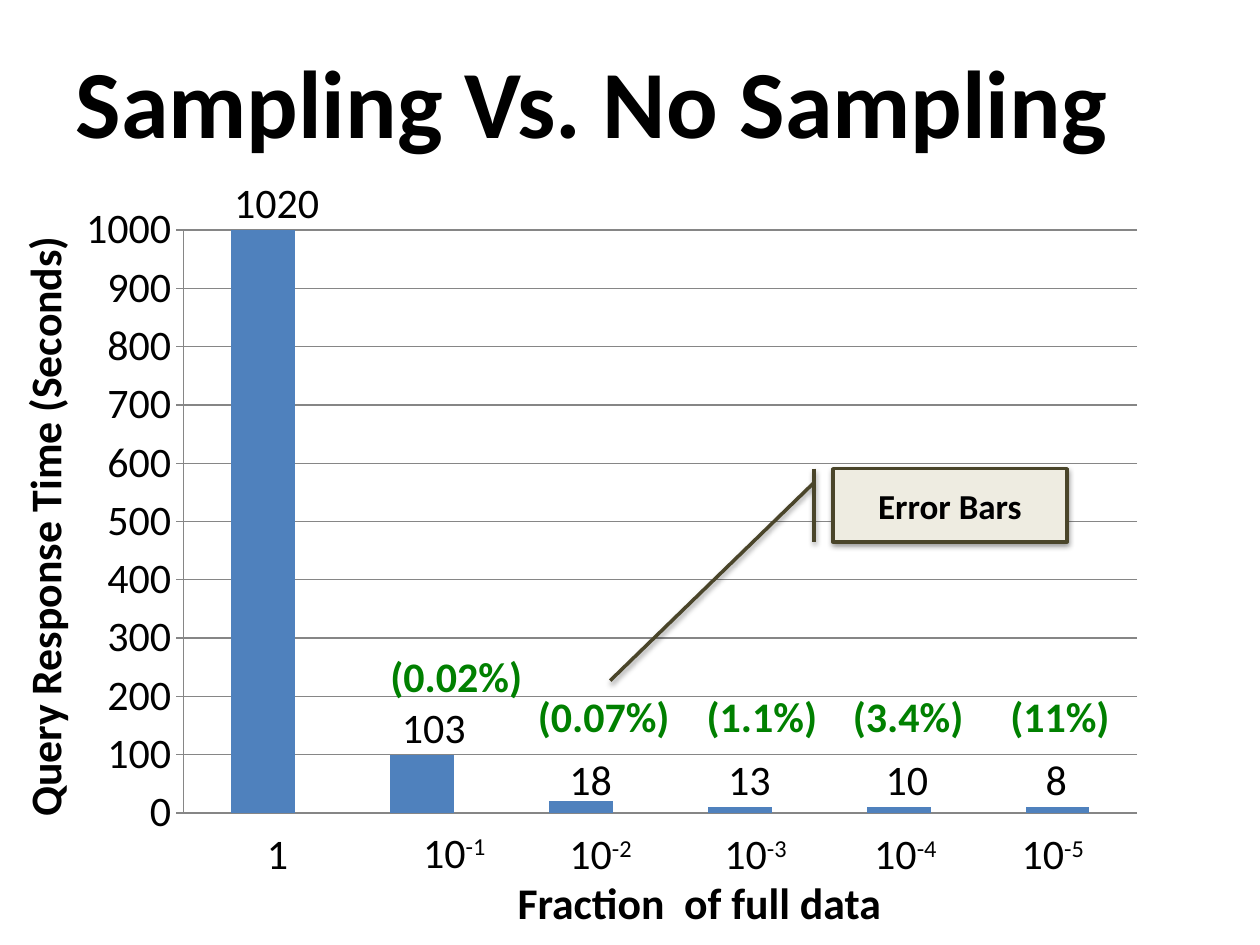
from dataclasses import dataclass

from lxml import etree
from pptx import Presentation
from pptx.chart.data import CategoryChartData
from pptx.dml.color import RGBColor
from pptx.enum.chart import XL_CHART_TYPE, XL_TICK_MARK
from pptx.enum.shapes import MSO_SHAPE
from pptx.enum.text import MSO_ANCHOR, MSO_AUTO_SIZE, PP_ALIGN
from pptx.oxml import parse_xml
from pptx.oxml.ns import nsdecls, qn
from pptx.util import Inches, Pt

COLUMN_STACKED = XL_CHART_TYPE.COLUMN_STACKED
CALLOUT = MSO_SHAPE.LINE_CALLOUT_1_BORDER_AND_ACCENT_BAR
LEFT, CENTER = PP_ALIGN.LEFT, PP_ALIGN.CENTER
MIDDLE = MSO_ANCHOR.MIDDLE
TICK_OUTSIDE = XL_TICK_MARK.OUTSIDE
GROW = MSO_AUTO_SIZE.SHAPE_TO_FIT_TEXT

FONT = "Calibri"
BLACK, GREEN, BLUE, GRAY = "000000", "008000", "4F81BD", "868686"
CREAM, OLIVE = "EEECE1", "4A452A"

# The slide is a grid of 100 columns by 75 rows with square cells.
CELL = Inches(10) / 100
LABEL_HEIGHT = 5
TITLE_HEIGHT = 5.2
FRACTION_ROW = 65.2


@dataclass
class Label:
    text: str
    column: float
    row: float
    width: float


@dataclass
class Sample:
    """One bar, rounded to tens, with its fraction, time and error labels."""
    seconds: int
    fraction: Label
    time: Label
    error: Label | None = None
    exponent: str = ""


SAMPLES = [
    Sample(1020, Label("1", 20.2, FRACTION_ROW, 3.7), Label("1020", 17.6, 13.5, 8.8)),
    Sample(100, Label("10", 32.6, 65.1, 7.3), Label("103", 30.9, 55.2, 7.1),
           Label("(0.02%)", 30, 51.1, 12.6), "-1"),
    Sample(20, Label("10", 44.2, FRACTION_ROW, 7.3), Label("18", 44.2, 59.3, 5.4),
           Label("(0.07%)", 41.7, 54.3, 12.6), "-2"),
    Sample(10, Label("10", 56.5, FRACTION_ROW, 7.3), Label("13", 56.8, 59.3, 5.4),
           Label("(1.1%)", 55.1, 54.3, 10.9), "-3"),
    Sample(10, Label("10", 68.4, FRACTION_ROW, 7.3), Label("10", 69.3, 59.3, 5.4),
           Label("(3.4%)", 66.7, 54.3, 10.9), "-4"),
    Sample(10, Label("10", 80.1, FRACTION_ROW, 7.3), Label("8", 82, 59.3, 3.7),
           Label("(11%)", 79.2, 54.3, 10), "-5"),
]


def color(value: str) -> RGBColor:
    return RGBColor.from_string(value)


def frame(column: float, row: float, width: float, height: float) -> list[int]:
    return [round(cells * CELL) for cells in (column, row, width, height)]


def format_font(font, size: float, hex_color: str, bold: bool) -> None:
    font.name = FONT
    font.size = Pt(size)
    font.bold = bold
    font.color.rgb = color(hex_color)


def write_text(text_frame, text: str, *, size: float = 24, hex_color: str = BLACK,
               bold: bool = False, align=LEFT, superscript: str = "") -> None:
    paragraph = text_frame.paragraphs[0]
    paragraph.alignment = align
    for content, baseline in ((text, None), (superscript, "30000")):
        if content:
            run = paragraph.add_run()
            run.text = content
            format_font(run.font, size, hex_color, bold)
            if baseline:
                run._r.get_or_add_rPr().set("baseline", baseline)


def add_label(slide, label: Label, *, height: float = LABEL_HEIGHT,
              wrap: bool = False, rotation: float = 0, **text_format) -> None:
    box = slide.shapes.add_textbox(*frame(label.column, label.row, label.width, height))
    box.rotation = rotation
    box.text_frame.word_wrap = wrap
    box.text_frame.auto_size = GROW
    write_text(box.text_frame, label.text, **text_format)


def add_title(slide) -> None:
    title = slide.shapes.title
    title.left, title.top, title.width, title.height = frame(5, 1.7, 90, 12.5)
    title.text_frame.vertical_anchor = MIDDLE
    write_text(title.text_frame, "Sampling Vs. No Sampling", size=55, bold=True)


def set_plot_layout(chart, x: float, y: float, w: float, h: float) -> None:
    """Place the inner plot area by shares of the chart's size."""
    plot_area = chart._chartSpace.chart.plotArea
    for old_layout in plot_area.findall(qn("c:layout")):
        plot_area.remove(old_layout)
    layout = parse_xml(f"<c:layout {nsdecls('c')}><c:manualLayout/></c:layout>")
    settings = {"layoutTarget": "inner", "xMode": "edge", "yMode": "edge",
                "x": x, "y": y, "w": w, "h": h}
    for name, value in settings.items():
        etree.SubElement(layout[0], qn(f"c:{name}")).set("val", str(value))
    plot_area.insert(0, layout)


def add_response_chart(slide) -> None:
    data = CategoryChartData()
    data.categories = [str(number) for number in range(1, len(SAMPLES) + 1)]
    data.add_series("Series 1", [sample.seconds for sample in SAMPLES])
    chart = slide.shapes.add_chart(
        COLUMN_STACKED, *frame(5, 15.1, 87, 52.6), data).chart
    chart.has_legend = False
    chart.has_title = False
    format_font(chart.font, 10, BLACK, False)
    set_plot_layout(chart, 0.11, 0.06, 0.87, 0.88)

    plot = chart.plots[0]
    plot.gap_width, plot.overlap, plot.vary_by_categories = 150, 100, False
    fill = plot.series[0].format.fill
    fill.solid()
    fill.fore_color.rgb = color(BLUE)

    chart.category_axis.visible = False
    axis = chart.value_axis
    axis.minimum_scale, axis.maximum_scale, axis.major_unit = 0, 1000, 100
    axis.major_tick_mark = TICK_OUTSIDE
    axis.has_major_gridlines = True
    format_font(axis.tick_labels.font, 24, BLACK, False)
    for line in (axis.format.line, axis.major_gridlines.format.line):
        line.color.rgb = color(GRAY)
        line.width = Pt(0.75)


def add_shadow(shape) -> None:
    shape.shadow.inherit = False
    effects = shape._element.spPr.find(qn("a:effectLst"))
    effects.append(parse_xml(
        f'<a:outerShdw {nsdecls("a")} blurRad="{Pt(3.1)}" dist="{Pt(1.6)}" '
        'dir="5400000" rotWithShape="0"><a:srgbClr val="000000">'
        '<a:alpha val="38000"/></a:srgbClr></a:outerShdw>'))


def add_error_callout(slide) -> None:
    callout = slide.shapes.add_shape(CALLOUT, *frame(66.1, 37.2, 18.6, 5.8))
    for index, value in enumerate((0.19, -0.08, 2.9, -0.95)):
        callout.adjustments[index] = value
    callout.fill.solid()
    callout.fill.fore_color.rgb = color(CREAM)
    callout.line.color.rgb = color(OLIVE)
    callout.line.width = Pt(2)
    add_shadow(callout)
    callout.text_frame.vertical_anchor = MIDDLE
    write_text(callout.text_frame, "Error Bars", size=20, bold=True, align=CENTER)


def main() -> None:
    presentation = Presentation()
    presentation.slide_width = round(100 * CELL)
    presentation.slide_height = round(75 * CELL)
    slide = presentation.slides.add_slide(presentation.slide_layouts[5])

    add_title(slide)
    add_response_chart(slide)
    add_label(slide, Label("Fraction  of full data", 35.7, 69, 39.6),
              height=TITLE_HEIGHT, wrap=True, size=25, bold=True, align=CENTER)
    add_label(slide, Label("Query Response Time (Seconds)", -20.8, 38.9, 48.6),
              height=TITLE_HEIGHT, rotation=270, size=25, bold=True)
    for sample in SAMPLES:
        add_label(slide, sample.fraction, superscript=sample.exponent)
        add_label(slide, sample.time)
        if sample.error:
            add_label(slide, sample.error, hex_color=GREEN, bold=True)
    add_error_callout(slide)
    presentation.save("out.pptx")


if __name__ == "__main__":
    main()
